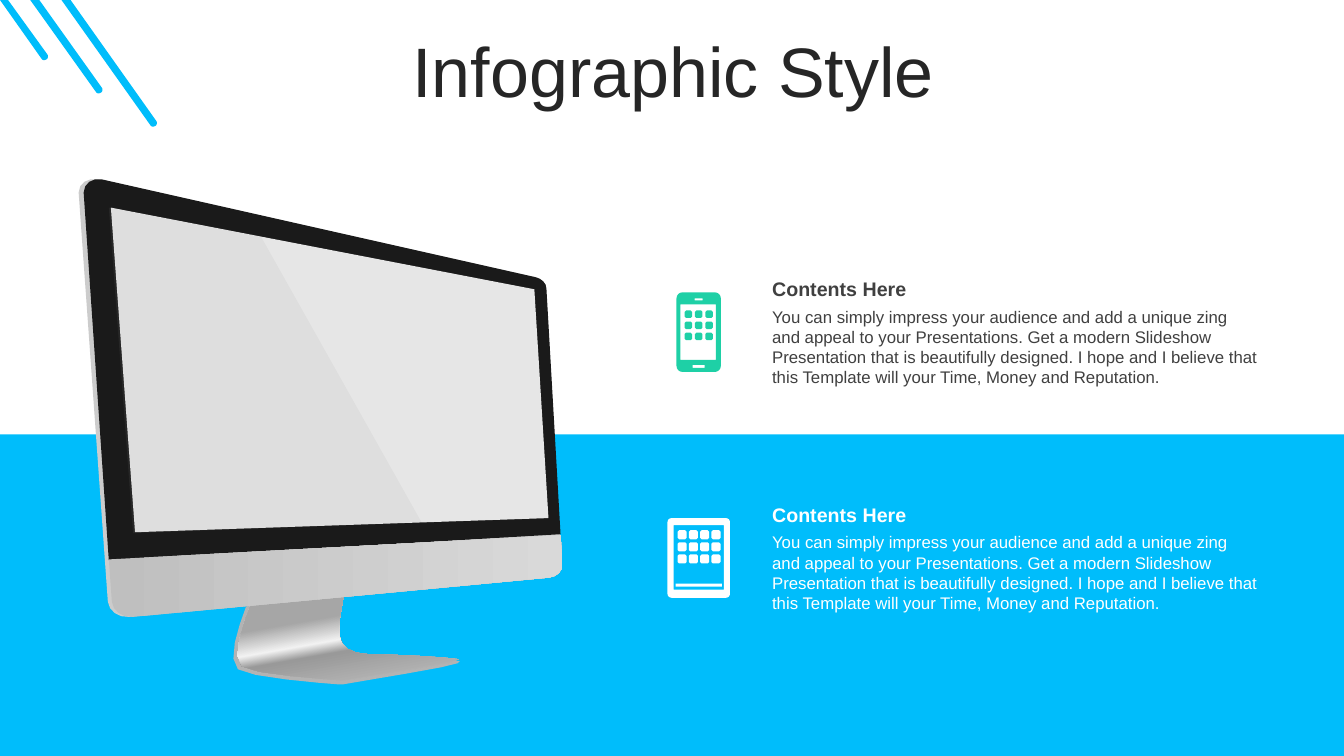
import pptx
import pptx.dml.color
import pptx.enum.shapes
import pptx.enum.text
import pptx.oxml
import pptx.oxml.ns
import pptx.util

RGB = pptx.dml.color.RGBColor
BLUE = RGB(0x00, 0xBD, 0xFB)
GREEN = RGB(0x1E, 0xD0, 0xA6)
WHITE = RGB(0xFF, 0xFF, 0xFF)
INK = RGB(0x26, 0x26, 0x26)
TEXT = RGB(0x40, 0x40, 0x40)
STAND_EDGE = RGB(0xB3, 0xB3, 0xB3)
SHELL = RGB(0xCC, 0xCC, 0xCC)
BEZEL = RGB(0x1A, 0x1A, 0x1A)
SCREEN = RGB(0xE6, 0xE6, 0xE6)
GLARE = RGB(0x99, 0x99, 0x99)
SILVER = RGB(0xBF, 0xBF, 0xBF)
PALE = RGB(0xD9, 0xD9, 0xD9)
SHINE = RGB(0xF2, 0xF2, 0xF2)
STEEL = RGB(0xA6, 0xA6, 0xA6)

FONT = "Arial"
WIDTH, HEIGHT = pptx.util.Inches(13.33), pptx.util.Inches(7.5)
UNIT = pptx.util.Inches(0.01)
CURVE_STEPS = 4
BODY = ("You can simply impress your audience and add a unique zing and appeal "
        "to your Presentations. Get a modern Slideshow Presentation that is "
        "beautifully designed. I hope and I believe that this Template will "
        "your Time, Money and Reputation.")

# Outlines in grid units: pairs are corners, sextets are cubic curves.
STAND_BACK = [
    (260, 415), (256, 434, 254, 445, 255, 456), (256, 459, 256, 462, 259, 466),
    (264, 474, 278, 476, 285, 476), (372, 479), (378, 480), (376, 482),
    (373, 485, 278, 500, 262, 503), (258, 503), (244, 502, 167, 496, 158, 488),
    (147, 479, 158, 447, 166, 426), (163, 423, 210, 419, 260, 415)]
STAND_FRONT = [
    (263, 415), (260, 433, 257, 444, 259, 454), (259, 457, 260, 460, 262, 463),
    (267, 471, 281, 473, 288, 473), (308, 473, 368, 476, 377, 478),
    (390, 480, 281, 496, 265, 499), (261, 499), (247, 498, 171, 493, 162, 485),
    (151, 476, 163, 445, 170, 426), (167, 423, 214, 418, 263, 415)]
CASE = [
    (50, 436), (467, 396), (474, 396, 480, 390, 479, 384), (464, 121),
    (463, 105, 459, 100, 453, 99), (19, 2), (9, 0, 0, 6, 0, 15), (29, 421),
    (30, 430, 39, 437, 50, 436)]
FRAME = [
    (30, 380), (478, 354), (464, 110), (464, 105, 459, 100, 453, 99), (23, 2),
    (14, 0, 5, 6, 5, 15)]
DISPLAY = [(56, 352), (466, 338), (452, 111), (32, 30)]
CHIN = [
    (478, 355), (480, 384), (480, 390, 475, 396, 467, 397), (54, 436),
    (43, 437, 34, 430, 33, 421), (30, 379)]
REFLECTION = [(181, 59), (30, 30), (54, 353), (340, 342)]


def set_values(obj, values):
    for name, value in values.items():
        setattr(obj, name, value)


def flatten(outline):
    """Turn corners and cubic curves into points; tiny curves take one step."""
    points = []
    for part in outline:
        if len(part) == 2:
            points.append(part)
            continue
        start, ends = points[-1], (part[:2], part[2:4], part[4:])
        span = max(abs(part[4] - start[0]), abs(part[5] - start[1]))
        steps = CURVE_STEPS if span > 3 else 1
        for step in range(1, steps + 1):
            t = step / steps
            weights = ((1 - t) ** 3, 3 * t * (1 - t) ** 2, 3 * t * t * (1 - t), t ** 3)
            points.append(tuple(
                sum(w * q[axis] for w, q in zip(weights, (start, *ends)))
                for axis in (0, 1)))
    return points


def paint(sp, color):
    sp.shadow.inherit = False
    sp.fill.solid()
    sp.fill.fore_color.rgb = color
    sp.line.fill.background()


def draw_outlines(s, left, top, outlines, color):
    """Draw closed outlines as one shape; nested outlines become holes."""
    builder = None
    for outline in outlines:
        points = [(left + x * UNIT, top + y * UNIT) for x, y in flatten(outline)]
        if builder is None:
            builder = s.shapes.build_freeform(*points[0])
        else:
            builder.move_to(*points[0])
        builder.add_line_segments(points[1:], close=True)
    sp = builder.convert_to_shape()
    paint(sp, color)
    return sp


def set_gradient(sp, stops, angle):
    marks = "".join(f'<a:gs pos="{pos * 1000}"><a:srgbClr val="{color}"/></a:gs>'
                    for pos, color in stops)
    solid = sp._element.spPr.find(pptx.oxml.ns.qn("a:solidFill"))
    solid.getparent().replace(solid, pptx.oxml.parse_xml(
        f'<a:gradFill {pptx.oxml.ns.nsdecls("a")} rotWithShape="1"><a:gsLst>{marks}'
        f'</a:gsLst><a:lin ang="{angle * 60000}" scaled="0"/></a:gradFill>'))


def set_opacity(sp, percent):
    color = sp._element.spPr.find(".//" + pptx.oxml.ns.qn("a:srgbClr"))
    color.append(pptx.oxml.parse_xml(
        f'<a:alpha {pptx.oxml.ns.nsdecls("a")} val="{percent * 1000}"/>'))


def add_monitor(s, left, top):
    draw_outlines(s, left, top, [STAND_BACK], STAND_EDGE)
    stand = draw_outlines(s, left, top, [STAND_FRONT], STEEL)
    set_gradient(stand, [(0, SILVER), (40, GLARE), (50, SHINE), (70, STEEL),
                         (100, STEEL)], 260)
    for outline, color in ((CASE, SHELL), (FRAME, BEZEL), (DISPLAY, SCREEN)):
        draw_outlines(s, left, top, [outline], color)
    chin = draw_outlines(s, left, top, [CHIN], SILVER)
    set_gradient(chin, [(0, SILVER), (100, PALE)], 0)
    set_opacity(draw_outlines(s, left, top, [REFLECTION], GLARE), 10)


def add_corner_stripes(s):
    stripes = []
    for k in range(3):
        edge, x, y = 31 * k, 54 * k, 33 * k
        stripes.append([
            (edge + 8, 0), (max(edge - 1, 0), 0), (x + 41, y + 58),
            (x + 42, y + 60, x + 44, y + 60, x + 46, y + 59),
            (x + 48, y + 58, x + 48, y + 55, x + 47, y + 54)])
    draw_outlines(s, 0, 0, stripes, BLUE)


def rounded(x, y, w, h, r=0):
    """Outline of a rectangle with corner radius r."""
    if not r:
        return [(x, y), (x + w, y), (x + w, y + h), (x, y + h)]
    c, right, low = 0.45 * r, x + w, y + h
    return [(x + r, y), (right - r, y), (right - c, y, right, y + c, right, y + r),
            (right, low - r), (right, low - c, right - c, low, right - r, low),
            (x + r, low), (x + c, low, x, low - c, x, low - r),
            (x, y + r), (x, y + c, x + c, y, x + r, y)]


def app_grid(cols, x, y, dx, dy, size):
    return [rounded(x + dx * col, y + dy * row, size, size, 1.5)
            for row in range(3) for col in range(cols)]


PHONE = [rounded(0, 0, 44, 79, 6), rounded(4, 12, 35, 55), rounded(18, 6, 8, 2),
         rounded(16, 72, 12, 3), *app_grid(3, 8, 18, 10.3, 11, 7.5)]
TABLET = [rounded(0, 0, 62, 79, 4), rounded(6, 7, 50, 64), rounded(8, 65, 46, 3),
          *app_grid(4, 10, 12, 11.2, 12, 9)]


def add_text(s, box, text, size, bold, color):
    tf = s.shapes.add_textbox(*box).text_frame
    tf.word_wrap = True
    r = tf.paragraphs[0].add_run()
    r.text = text
    set_values(r.font, {"name": FONT, "size": pptx.util.Pt(size), "bold": bold})
    r.font.color.rgb = color


def add_content(s, left, top, icon, icon_width, icon_color, color):
    """Place an icon in a 62-unit column, with heading and text to its right."""
    draw_outlines(s, left + (62 - icon_width) / 2 * UNIT, top + 20 * UNIT,
                  icon, icon_color)
    x, w = left + 94 * UNIT, 504 * UNIT
    add_text(s, (x, top + 29 * UNIT, w, 91 * UNIT), BODY, 12, False, color)
    add_text(s, (x, top, w, 34 * UNIT), "Contents Here", 14, True, color)


def add_title(s, text):
    sp = s.shapes.title
    set_values(sp, {"left": 35 * UNIT, "top": 37 * UNIT,
                    "width": WIDTH - 67 * UNIT, "height": 79 * UNIT})
    tf = sp.text_frame
    set_values(tf, {"text": text, "word_wrap": True,
                    "auto_size": pptx.enum.text.MSO_AUTO_SIZE.NONE,
                    "vertical_anchor": pptx.enum.text.MSO_ANCHOR.MIDDLE})
    p = tf.paragraphs[0]
    set_values(p, {"alignment": pptx.enum.text.PP_ALIGN.CENTER, "line_spacing": 0.8})
    set_values(p.runs[0].font, {"name": FONT, "size": pptx.util.Pt(50)})
    p.runs[0].font.color.rgb = INK


def main():
    prs = pptx.Presentation()
    set_values(prs, {"slide_width": WIDTH, "slide_height": HEIGHT})
    s = prs.slides.add_slide(prs.slide_layouts[5])
    band_top = 431 * UNIT
    band = s.shapes.add_shape(pptx.enum.shapes.MSO_SHAPE.RECTANGLE,
                              0, band_top, WIDTH, HEIGHT - band_top)
    paint(band, BLUE)
    add_monitor(s, 78 * UNIT, 176 * UNIT)
    add_corner_stripes(s)
    add_title(s, "Infographic Style")
    for row, look in enumerate(((PHONE, 44, GREEN, TEXT), (TABLET, 62, WHITE, WHITE))):
        add_content(s, 662 * UNIT, (270 + 224 * row) * UNIT, *look)
    prs.save("out.pptx")


if __name__ == "__main__":
    main()
